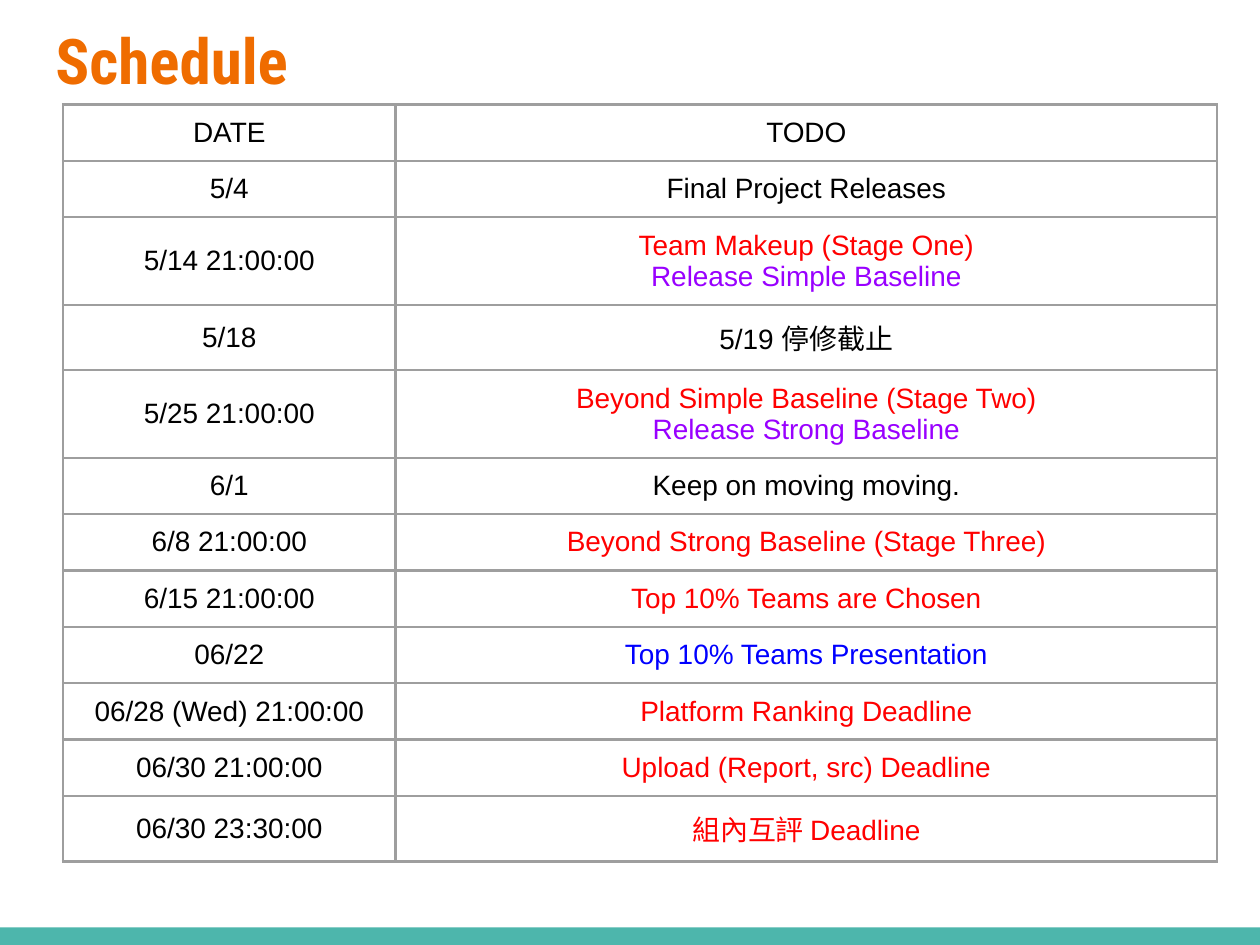
from lxml.etree import SubElement
from pptx import Presentation
from pptx.dml.color import RGBColor
from pptx.enum.shapes import MSO_SHAPE as Shape
from pptx.enum.text import MSO_ANCHOR as Anchor, PP_ALIGN as Align
from pptx.oxml.ns import qn
from pptx.util import Inches, Pt

BLACK, RED, PURPLE, BLUE = "000000", "FF0000", "9900FF", "0000FF"
ORANGE, TEAL, GRAY = "EF6C00", "4DB6AC", "9E9E9E"
PLAIN_ROW, TALL_ROW, DOUBLE_ROW = 0.44, 0.51, 0.69
COLUMN_WIDTHS = 2.64, 6.52

SCHEDULE = [
    (PLAIN_ROW, "DATE", [("TODO", BLACK)]),
    (PLAIN_ROW, "5/4", [("Final Project Releases", BLACK)]),
    (DOUBLE_ROW, "5/14 21:00:00",
     [("Team Makeup (Stage One)", RED), ("Release Simple Baseline", PURPLE)]),
    (TALL_ROW, "5/18", [("5/19 停修截止", BLACK)]),
    (DOUBLE_ROW, "5/25 21:00:00",
     [("Beyond Simple Baseline (Stage Two)", RED), ("Release Strong Baseline", PURPLE)]),
    (PLAIN_ROW, "6/1", [("Keep on moving moving.", BLACK)]),
    (PLAIN_ROW, "6/8 21:00:00", [("Beyond Strong Baseline (Stage Three)", RED)]),
    (PLAIN_ROW, "6/15 21:00:00", [("Top 10% Teams are Chosen", RED)]),
    (PLAIN_ROW, "06/22", [("Top 10% Teams Presentation", BLUE)]),
    (PLAIN_ROW, "06/28 (Wed) 21:00:00", [("Platform Ranking Deadline", RED)]),
    (PLAIN_ROW, "06/30 21:00:00", [("Upload (Report, src) Deadline", RED)]),
    (TALL_ROW, "06/30 23:30:00", [("組內互評 Deadline", RED)]),
]


def rgb(color):
    """Turn a hex string into a colour."""
    return RGBColor.from_string(color)


def write(paragraph, text, *, size=16, font="Arial", color=BLACK, bold=False, align=Align.CENTER):
    """Add formatted text to a paragraph."""
    paragraph.alignment = align
    run = paragraph.add_run()
    run.text = text
    run.font.size = Pt(size)
    run.font.name = font
    run.font.bold = bold
    run.font.color.rgb = rgb(color)


def set_borders(cell, color, width):
    """Draw a solid line on every side of a cell."""
    properties = cell._tc.get_or_add_tcPr()
    for side in ("lnL", "lnR", "lnT", "lnB"):
        line = SubElement(properties, qn(f"a:{side}"), w=str(Pt(width)))
        fill = SubElement(line, qn("a:solidFill"))
        SubElement(fill, qn("a:srgbClr"), val=color)


def fill_cell(cell, lines):
    """Format a cell and write one paragraph for each line."""
    set_borders(cell, GRAY, 1.5)
    cell.fill.background()
    cell.vertical_anchor = Anchor.MIDDLE
    cell.margin_left = cell.margin_right = cell.margin_top = cell.margin_bottom = Inches(0.1)
    frame = cell.text_frame
    for index, (text, color) in enumerate(lines):
        paragraph = frame.add_paragraph() if index else frame.paragraphs[0]
        write(paragraph, text, color=color)


def place_bar(slide, left, top, width, height):
    """Place the footer bar."""
    bar = slide.shapes.add_shape(
        Shape.RECTANGLE, Inches(left), Inches(top), Inches(width), Inches(height))
    bar.shadow.inherit = False
    bar.fill.solid()
    bar.fill.fore_color.rgb = rgb(TEAL)
    bar.line.fill.background()


def place_title(slide, text, left, top, width, height):
    """Move the title placeholder and write the title."""
    title = slide.shapes.title
    title.left, title.top = Inches(left), Inches(top)
    title.width, title.height = Inches(width), Inches(height)
    frame = title.text_frame
    frame.margin_left = frame.margin_right = frame.margin_top = frame.margin_bottom = Inches(0.1)
    frame.vertical_anchor = Anchor.TOP
    write(frame.paragraphs[0], text, size=36, font="Roboto Condensed",
          color=ORANGE, bold=True, align=Align.LEFT)


def place_schedule(slide, left, top):
    """Place the schedule table."""
    height = sum(row[0] for row in SCHEDULE)
    table = slide.shapes.add_table(
        len(SCHEDULE), len(COLUMN_WIDTHS), Inches(left), Inches(top),
        Inches(sum(COLUMN_WIDTHS)), Inches(height)).table
    table.first_row = table.horz_banding = False
    for column, width in zip(table.columns, COLUMN_WIDTHS):
        column.width = Inches(width)
    for row, (row_height, date, tasks) in zip(table.rows, SCHEDULE):
        row.height = Inches(row_height)
        fill_cell(row.cells[0], [(date, BLACK)])
        fill_cell(row.cells[1], tasks)


def build_schedule_slide(presentation):
    """Build the schedule slide."""
    slide = presentation.slides.add_slide(presentation.slide_layouts[5])
    place_bar(slide, 0, 7.36, 10, 0.14)
    place_title(slide, "Schedule", 0.34, 0.07, 9.32, 0.91)
    place_schedule(slide, 0.5, 0.83)


presentation = Presentation()
presentation.slide_width, presentation.slide_height = Inches(10), Inches(7.5)
build_schedule_slide(presentation)
presentation.save("out.pptx")
